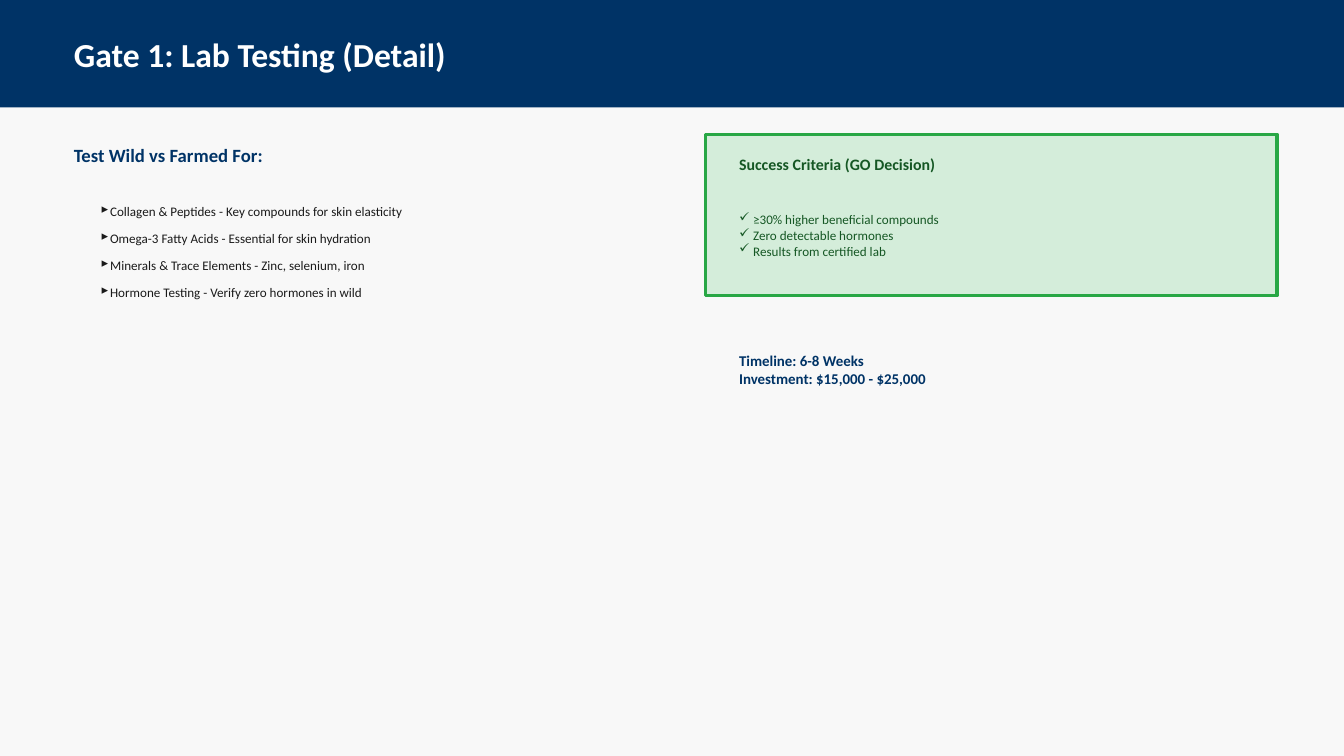
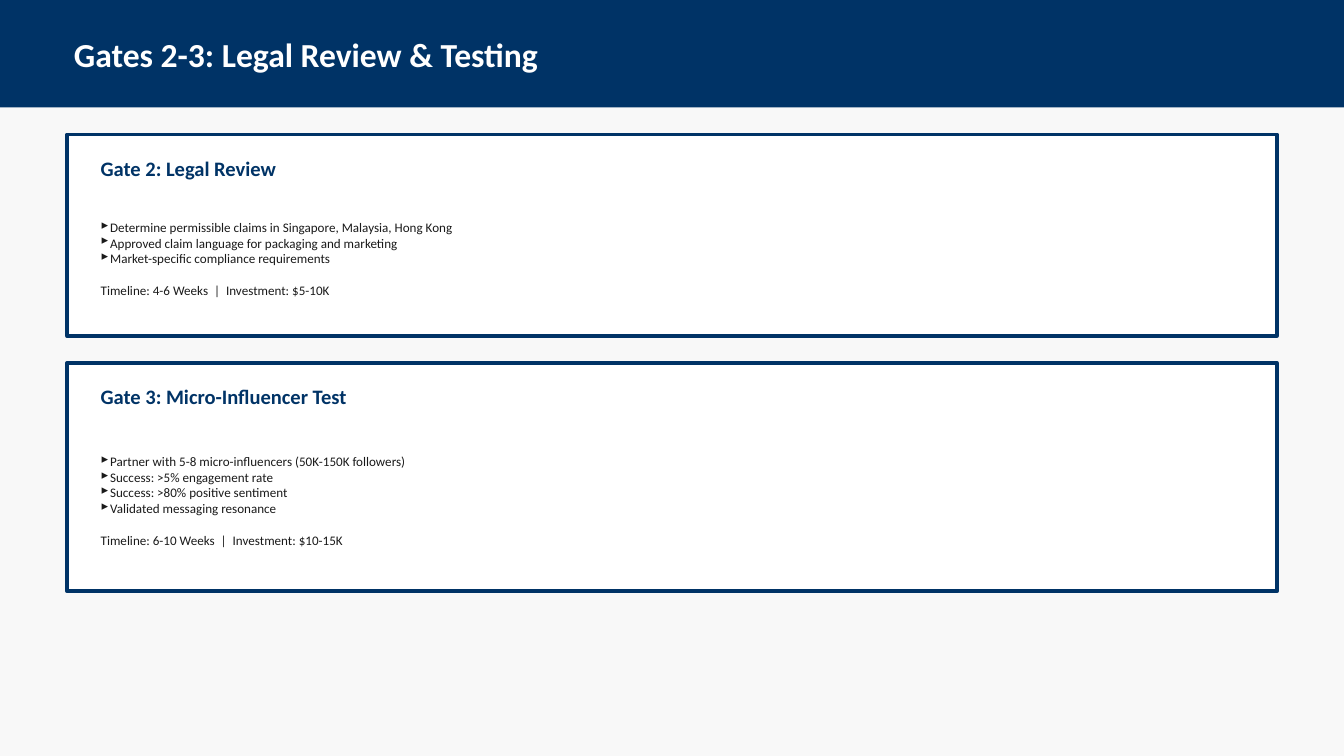
from lxml import etree
from pptx import Presentation
from pptx.dml.color import RGBColor
from pptx.enum.shapes import MSO_SHAPE
from pptx.enum.text import MSO_ANCHOR, MSO_AUTO_SIZE, PP_ALIGN
from pptx.oxml.ns import qn
from pptx.util import Pt

RECT = MSO_SHAPE.RECTANGLE
MIDDLE = MSO_ANCHOR.MIDDLE
FIXED = MSO_AUTO_SIZE.NONE
LEFT = PP_ALIGN.LEFT

PX = 9144  # 100 px to the inch
WIDE, HIGH = 2000, 1125
EDGE, PAD, TOP = 100, 40, 200
FONT = "Calibri"
COLORS = {
    "page": "F8F8F8", "navy": "003366", "white": "FFFFFF", "ink": "1A1A1A",
    "mint": "D4EDDA", "green": "28A745", "pine": "155724",
}
HANG = {"▸": 14, "✓": 21}  # px from mark to text

LAB = {
    "title": "Gate 1: Lab Testing (Detail)",
    "head": "Test Wild vs Farmed For:",
    "tests": [
        "Collagen & Peptides - Key compounds for skin elasticity",
        "Omega-3 Fatty Acids - Essential for skin hydration",
        "Minerals & Trace Elements - Zinc, selenium, iron",
        "Hormone Testing - Verify zero hormones in wild",
    ],
    "goal": "Success Criteria (GO Decision)",
    "marks": [
        "≥30% higher beneficial compounds",
        "Zero detectable hormones",
        "Results from certified lab",
    ],
    "plan": ["Timeline: 6-8 Weeks", "Investment: $15,000 - $25,000"],
}
GATES = {
    "title": "Gates 2-3: Legal Review & Testing",
    "cards": [
        {
            "head": "Gate 2: Legal Review",
            "items": [
                "Determine permissible claims in Singapore, Malaysia, Hong Kong",
                "Approved claim language for packaging and marketing",
                "Market-specific compliance requirements",
            ],
            "plan": "Timeline: 4-6 Weeks  |  Investment: $5-10K",
            "high": 300,
        },
        {
            "head": "Gate 3: Micro-Influencer Test",
            "items": [
                "Partner with 5-8 micro-influencers (50K-150K followers)",
                "Success: >5% engagement rate",
                "Success: >80% positive sentiment",
                "Validated messaging resonance",
            ],
            "plan": "Timeline: 6-10 Weeks  |  Investment: $10-15K",
            "high": 340,
        },
    ],
}


def rgb(name):
    return RGBColor.from_string(COLORS[name])


def scale(box):
    return [n * PX for n in box]


def add_bullet(para, mark):
    props = para._p.get_or_add_pPr()
    gap = HANG[mark] * PX
    props.set("marL", str(gap))
    props.set("indent", str(-gap))
    etree.SubElement(props, qn("a:buChar")).set("char", mark)


def style(para, size, color, bold=False):
    font = para.font
    font.name, font.size, font.bold = FONT, Pt(size), bold
    font.color.rgb = rgb(color)


def add_text(slide, box, lines, size, color, bold=False, mark=None, last=None):
    """Write lines, bulleted if mark is given, then a spaced plain last line."""
    frame = slide.shapes.add_textbox(*scale(box)).text_frame
    frame.word_wrap = True
    frame.vertical_anchor = MIDDLE
    frame.text = "\n".join(lines + ([last] if last else []))
    for i, para in enumerate(frame.paragraphs):
        if mark and i < len(lines):
            add_bullet(para, mark)
        elif last:
            para.space_before = Pt(17)
        style(para, size, color, bold)


def add_rect(slide, box, fill, line=None):
    rect = slide.shapes.add_shape(RECT, *scale(box))
    rect.shadow.inherit = False
    rect.fill.solid()
    rect.fill.fore_color.rgb = rgb(fill)
    if line:
        rect.line.color.rgb = rgb(line)
        rect.line.width = Pt(4)
    else:
        rect.line.fill.background()
    return rect


def add_slide(deck, text):
    """Add a slide with its title over the navy band."""
    slide = deck.slides.add_slide(deck.slide_layouts[5])
    band = add_rect(slide, (0, 0, WIDE, 160), "navy")
    title = slide.shapes.title
    title._element.addprevious(band._element)
    title.left, title.top, title.width, title.height = scale(
        (EDGE, 40, WIDE - 2 * EDGE, 80))
    frame = title.text_frame
    frame.text = text
    frame.auto_size = FIXED
    frame.vertical_anchor = MIDDLE
    para = frame.paragraphs[0]
    para.alignment = LEFT
    style(para, 36, "white", True)
    return slide


def build_lab(deck):
    slide = add_slide(deck, LAB["title"])
    add_text(slide, (EDGE, TOP, 900, 60), [LAB["head"]], 20, "navy", True)
    for i, test in enumerate(LAB["tests"]):
        box = (EDGE + PAD, 280 + 40 * i, 800, 70)
        add_text(slide, box, [test], 14, "ink", mark="▸")

    left, wide = 1050, 850
    add_rect(slide, (left, TOP, wide, 240), "mint", "green")
    x, w = left + PAD, wide - 2 * PAD
    add_text(slide, (x, 220, w, 50), [LAB["goal"]], 17, "pine", True)
    add_text(slide, (x, 280, w, 140), LAB["marks"], 14, "pine", mark="✓")
    add_text(slide, (x, 500, w, 100), LAB["plan"], 16, "navy", True)


def build_gates(deck):
    slide = add_slide(deck, GATES["title"])
    wide, y = WIDE - 2 * EDGE, TOP
    x = EDGE + PAD
    for card in GATES["cards"]:
        high = card["high"]
        add_rect(slide, (EDGE, y, wide, high), "white", "navy")
        add_text(slide, (x, y + 20, wide - 2 * PAD, 60), [card["head"]],
                 22, "navy", True)
        add_text(slide, (x, y + 90, 1200, high - 110), card["items"],
                 14, "ink", mark="▸", last=card["plan"])
        y += high + 40


def main():
    deck = Presentation()
    deck.slide_width, deck.slide_height = scale((WIDE, HIGH))
    page = deck.slide_master.background.fill
    page.solid()
    page.fore_color.rgb = rgb("page")
    build_lab(deck)
    build_gates(deck)
    deck.save("out.pptx")


if __name__ == "__main__":
    main()
